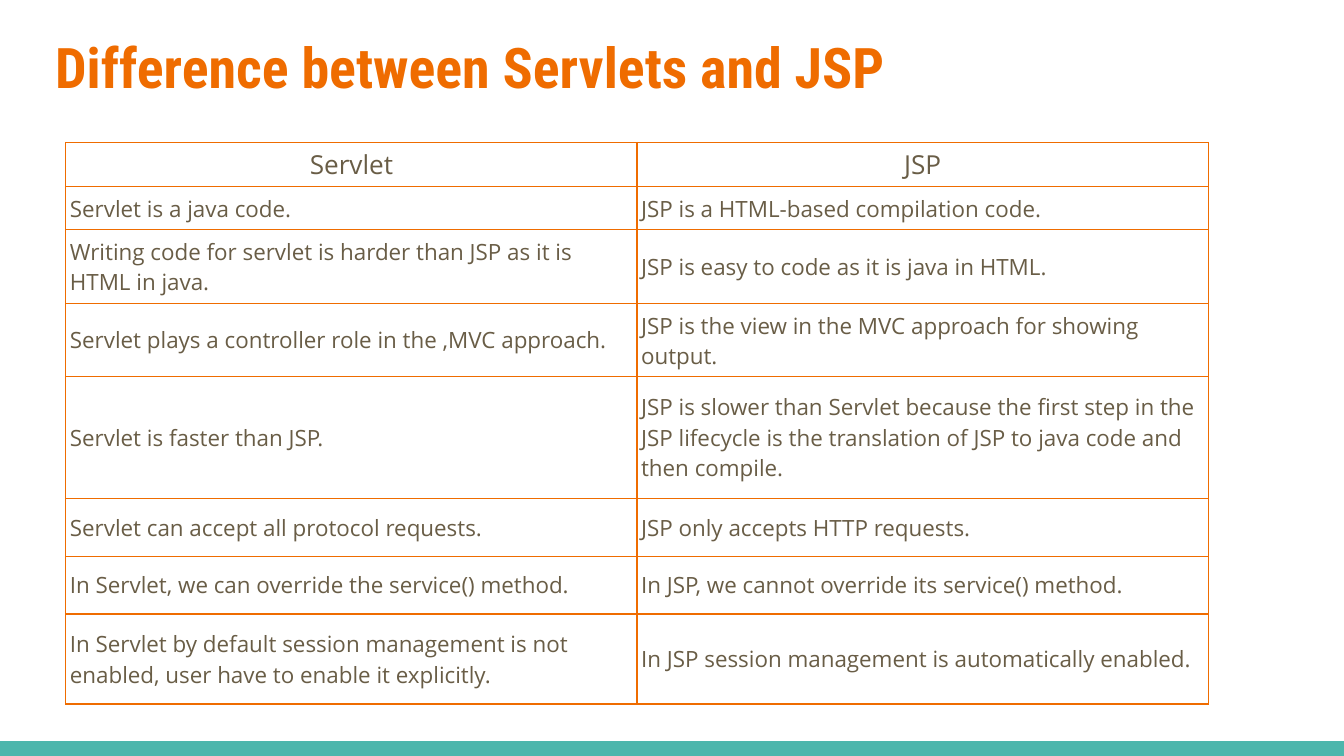
from lxml.etree import SubElement
from pptx import Presentation
from pptx.dml.color import RGBColor
from pptx.enum.shapes import MSO_SHAPE
from pptx.enum.text import MSO_ANCHOR, PP_ALIGN
from pptx.oxml.ns import qn
from pptx.util import Inches, Pt

ORANGE = RGBColor(0xEF, 0x6C, 0x00)
TEAL = RGBColor(0x4D, 0xB6, 0xAC)
BROWN = RGBColor(0x69, 0x5D, 0x46)
WHITE = RGBColor(0xFF, 0xFF, 0xFF)

COMPARISON = [
    ("Servlet", "JSP"),
    ("Servlet is a java code.", "JSP is a HTML-based compilation code."),
    ("Writing code for servlet is harder than JSP as it is HTML in java.",
     "JSP is easy to code as it is java in HTML."),
    ("Servlet plays a controller role in the ,MVC approach.",
     "JSP is the view in the MVC approach for showing output."),
    ("Servlet is faster than JSP.",
     "JSP is slower than Servlet because the first step in the JSP lifecycle "
     "is the translation of JSP to java code and then compile."),
    ("Servlet can accept all protocol requests.",
     "JSP only accepts HTTP requests."),
    ("In Servlet, we can override the service() method.",
     "In JSP, we cannot override its service() method."),
    ("In Servlet by default session management is not enabled, "
     "user have to enable it explicitly.",
     "In JSP session management is automatically enabled."),
]
ROW_HEIGHTS = [0.33, 0.32, 0.55, 0.54, 0.91, 0.43, 0.43, 0.67]
COLUMN_WIDTH = 4.25


def write(frame, text, font="Open Sans", size=12, color=BROWN, bold=False,
          align=PP_ALIGN.LEFT):
    frame.word_wrap = True
    paragraph = frame.paragraphs[0]
    paragraph.alignment = align
    run = paragraph.add_run()
    run.text = text
    run.font.name = font
    run.font.size = Pt(size)
    run.font.bold = bold
    run.font.color.rgb = color


def add_borders(cell, color, width):
    properties = cell._tc.get_or_add_tcPr()
    for position, side in enumerate(("lnL", "lnR", "lnT", "lnB")):
        line = properties.makeelement(qn(f"a:{side}"), {"w": str(Pt(width))})
        fill = SubElement(line, qn("a:solidFill"))
        SubElement(fill, qn("a:srgbClr"), val=str(color))
        # Borders come before the cell fill
        properties.insert(position, line)


# Widescreen slide, 16:9
presentation = Presentation()
presentation.slide_width = Inches(10)
presentation.slide_height = Inches(10 * 9 / 16)
slide = presentation.slides.add_slide(presentation.slide_layouts[6])

# Background and bottom band
slide.background.fill.solid()
slide.background.fill.fore_color.rgb = WHITE
band_height = Inches(0.11)
band = slide.shapes.add_shape(
    MSO_SHAPE.RECTANGLE, Inches(0), presentation.slide_height - band_height,
    presentation.slide_width, band_height)
band.shadow.inherit = False
band.fill.solid()
band.fill.fore_color.rgb = TEAL
band.line.fill.background()

# Title
title = slide.shapes.add_textbox(Inches(0.34), Inches(0.2),
                                 Inches(9.32), Inches(0.77)).text_frame
title.margin_left = title.margin_right = Inches(0.07)
title.margin_top = title.margin_bottom = Inches(0.04)
write(title, "Difference between Servlets and JSP", font="Roboto Condensed",
      size=30, color=ORANGE, bold=True)

# Comparison table
table = slide.shapes.add_table(
    len(COMPARISON), 2, Inches(0.49), Inches(1.06),
    Inches(2 * COLUMN_WIDTH), Inches(sum(ROW_HEIGHTS))).table
table.horz_banding = False
for column in table.columns:
    column.width = Inches(COLUMN_WIDTH)

for row_index, (texts, height) in enumerate(zip(COMPARISON, ROW_HEIGHTS)):
    table.rows[row_index].height = Inches(height)
    is_header = row_index == 0
    for column_index, text in enumerate(texts):
        cell = table.cell(row_index, column_index)
        cell.margin_left = cell.margin_right = Inches(0.03)
        cell.margin_top = cell.margin_bottom = Inches(0.03 if is_header else 0.05)
        cell.vertical_anchor = MSO_ANCHOR.MIDDLE
        cell.fill.solid()
        cell.fill.fore_color.rgb = WHITE
        add_borders(cell, ORANGE, 0.75)
        write(cell.text_frame, text, size=14 if is_header else 12,
              align=PP_ALIGN.CENTER if is_header else PP_ALIGN.LEFT)

presentation.save("out.pptx")
